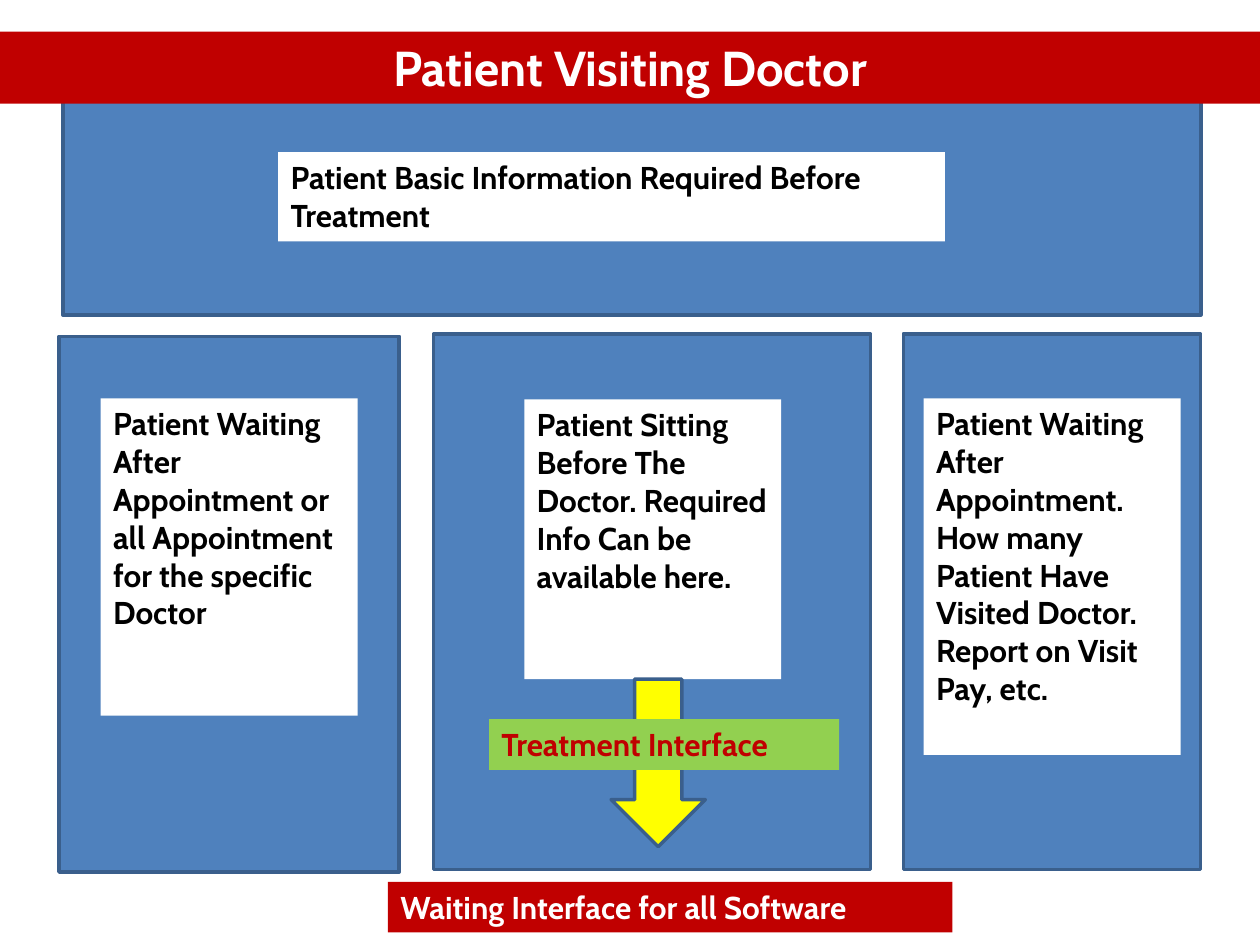
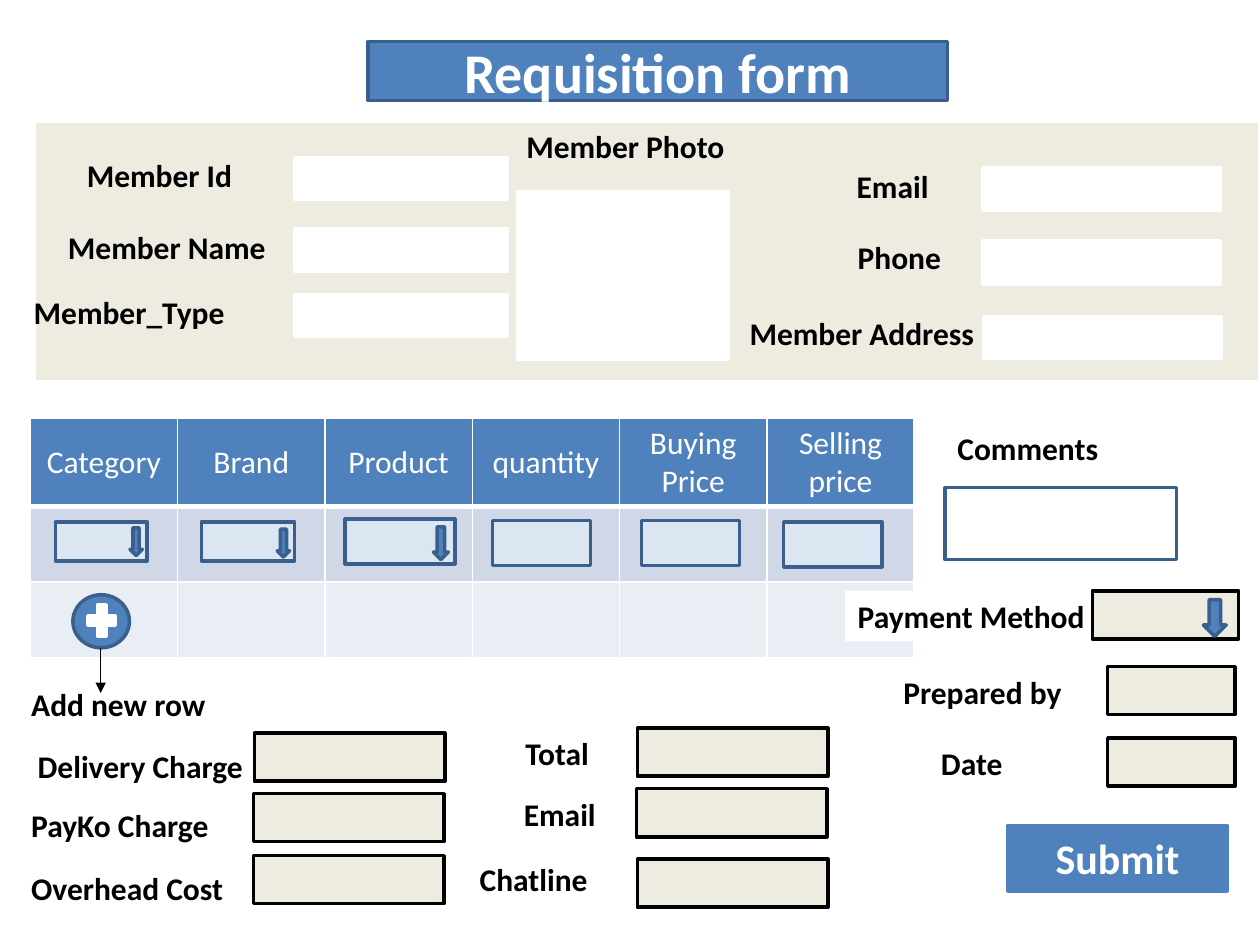
import pptx
import pptx.dml.color
import pptx.enum.shapes
import pptx.enum.text
import pptx.oxml.ns
import pptx.util
from lxml import etree

Cm, Pt = pptx.util.Cm, pptx.util.Pt
SHAPE = pptx.enum.shapes.MSO_SHAPE
ALIGN = pptx.enum.text.PP_ALIGN
ANCHOR = pptx.enum.text.MSO_ANCHOR
qn = pptx.oxml.ns.qn

COLORS = {
    "white": "FFFFFF", "black": "000000", "blue": "4F81BD", "outline": "3A5F8C",
    "red": "C00000", "yellow": "FFFF00", "green": "92D050", "beige": "EEECE1",
    "pale": "DCE6F2", "row_dark": "D0D8E8", "row_light": "E9EDF4",
}
LABEL_HEIGHT = 1.02

# Visit slide: boxes are (left, top, width, height) in centimetres
VISIT_PANELS = [
    (1.27, 1.7, 22.94, 4.65),
    (1.19, 6.78, 6.86, 10.8),
    (8.74, 6.73, 8.81, 10.8),
    (18.21, 6.73, 5.99, 10.8),
]
VISIT_NOTES = [
    ("Patient Basic Information Required Before Treatment", (5.61, 3.07, 13.44, 1.8)),
    ("Patient Waiting After Appointment or all Appointment for the specific Doctor",
     (2.03, 8.03, 5.18, 6.4)),
    ("Patient Sitting Before The Doctor. Required Info Can be available here.",
     (10.57, 8.05, 5.18, 5.64)),
    ("Patient Waiting After Appointment. How many Patient Have Visited Doctor. "
     "Report on Visit Pay, etc.", (18.62, 8.03, 5.18, 7.19)),
]
TREATMENT_ARROW = (12.32, 13.69, 1.9, 3.38)

# Requisition slide: label, label (left, top, width), field box
MEMBER_FIELDS = [
    ("Member Id", (1.5, 3.02, 4.4), (5.94, 3.18, 4.29, 0.84)),
    ("Member Name", (1.12, 4.47, 4.8), (5.94, 4.62, 4.29, 0.84)),
    ("Member_Type", (0.43, 5.79, 5.4), (5.94, 5.94, 4.29, 0.84)),
    ("Email", (17.02, 3.25, 2.8), (19.81, 3.38, 4.8, 0.86)),
    ("Phone", (17.04, 4.67, 2.8), (19.81, 4.85, 4.8, 0.89)),
    ("Member Address", (14.86, 6.2, 6.07), (19.84, 6.38, 4.78, 0.84)),
    ("Member Photo", (10.36, 2.44, 4.8), (10.44, 3.86, 4.24, 3.38)),
]
COMMENT_FIELDS = [("Comments", (19.05, 8.53, 3.5), (19.05, 9.83, 4.67, 1.45))]
ORDER_FIELDS = [
    ("Payment Method", (17.04, 11.91, 5.38), (22.02, 11.91, 2.95, 0.97)),
    ("Prepared by", (17.96, 13.44, 3.86), (22.33, 13.44, 2.57, 0.97)),
    ("Date", (18.72, 14.88, 3.1), (22.33, 14.88, 2.57, 0.97)),
]
COST_FIELDS = [
    ("Delivery Charge", (0.51, 14.94, 5.13), (5.13, 14.78, 3.84, 0.97)),
    ("PayKo Charge", (0.38, 16.13, 5.13), (5.11, 16, 3.84, 0.97)),
    ("Overhead Cost", (0.38, 17.4, 5.13), (5.11, 17.25, 3.84, 0.97)),
    ("Total", (10.34, 14.68, 2.77), (12.85, 14.68, 3.84, 0.97)),
    ("Email", (10.31, 15.9, 3.1), (12.83, 15.9, 3.84, 0.97)),
    ("Chatline", (9.42, 17.22, 3.84), (12.85, 17.32, 3.84, 0.97)),
]
ITEM_HEADERS = ["Category", "Brand", "Product", "quantity", "Buying Price", "Selling price"]
ITEM_LEFT, ITEM_TOP, ITEM_COLUMN = 0.61, 8.43, 2.97
ITEM_ROWS = [(1.78, "blue"), (1.52, "row_dark"), (1.52, "row_light")]
ITEM_INPUTS = [
    (1.12, 10.52, 1.85, 0.79), (4.06, 10.52, 1.88, 0.79), (6.96, 10.46, 2.21, 0.91),
    (9.93, 10.49, 1.98, 0.91), (12.93, 10.49, 1.98, 0.91), (15.8, 10.52, 1.98, 0.91),
]
DROPDOWN_ARROWS = [
    (2.62, 10.64, 0.25, 0.56), (5.59, 10.67, 0.25, 0.56),
    (8.74, 10.62, 0.3, 0.66), (24.26, 12.09, 0.46, 0.74),
]


def rgb(name):
    return pptx.dml.color.RGBColor.from_string(COLORS[name])


def paint(shape, fill):
    shape.fill.solid()
    shape.fill.fore_color.rgb = rgb(fill)


def write(frame, text, font, size, color, align, bold=True):
    frame.word_wrap = True
    para = frame.paragraphs[0]
    para.text = text
    para.alignment = align
    para.font.name, para.font.size, para.font.bold = font, Pt(size), bold
    para.font.color.rgb = rgb(color)


def add_box(page, box, fill, line, kind=SHAPE.RECTANGLE):
    shape = page.shapes.add_shape(kind, *map(Cm, box))
    shape.shadow.inherit = False
    paint(shape, fill)
    shape.line.color.rgb = rgb(line)
    shape.line.width = Pt(2)
    return shape


def add_label(page, text, box, font, fill=None, color="black", size=18, align=ALIGN.LEFT):
    label = page.shapes.add_textbox(*map(Cm, box))
    if fill:
        paint(label, fill)
    write(label.text_frame, text, font, size, color, align)


def add_button(page, text, box, line, size):
    button = add_box(page, box, "blue", line)
    button.text_frame.vertical_anchor = ANCHOR.MIDDLE
    write(button.text_frame, text, "Calibri", size, "white", ALIGN.CENTER)


def add_fields(page, fields, fill, line, label_fill=None):
    for text, place, box in fields:
        add_label(page, text, (*place, LABEL_HEIGHT), "Calibri", label_fill)
        add_box(page, box, fill, line)


def set_borders(cell, is_header):
    properties = cell._tc.get_or_add_tcPr()
    for index, side in enumerate(("lnL", "lnR", "lnT", "lnB")):
        width = 3 if is_header and side == "lnB" else 1
        border = etree.Element(qn(f"a:{side}"), w=str(Pt(width)))
        fill = etree.SubElement(border, qn("a:solidFill"))
        etree.SubElement(fill, qn("a:srgbClr"), val=COLORS["white"])
        properties.insert(index, border)


def add_item_table(page):
    columns = len(ITEM_HEADERS)
    height = sum(row_height for row_height, _ in ITEM_ROWS)
    table = page.shapes.add_table(
        len(ITEM_ROWS), columns, Cm(ITEM_LEFT), Cm(ITEM_TOP),
        Cm(ITEM_COLUMN * columns), Cm(height)).table
    for column in table.columns:
        column.width = Cm(ITEM_COLUMN)
    for row, (row_height, fill) in enumerate(ITEM_ROWS):
        table.rows[row].height = Cm(row_height)
        for column, header in enumerate(ITEM_HEADERS):
            cell = table.cell(row, column)
            paint(cell, fill)
            set_borders(cell, row == 0)
            if row == 0:
                cell.vertical_anchor = ANCHOR.MIDDLE
                write(cell.text_frame, header, "Calibri", 18, "white", ALIGN.CENTER, False)


def add_arrow(page, start, end):
    arrow = page.shapes.add_connector(
        pptx.enum.shapes.MSO_CONNECTOR.STRAIGHT, *map(Cm, start + end))
    arrow.line.color.rgb = rgb("black")
    arrow.line.width = Pt(0.75)
    etree.SubElement(arrow.line._get_or_add_ln(), qn("a:tailEnd"), type="triangle")
    etree.SubElement(arrow._element.spPr, qn("a:effectLst"))


def build_visit(page):
    for box in VISIT_PANELS:
        add_box(page, box, "blue", "outline")
    for text, box in VISIT_NOTES:
        add_label(page, text, box, "Cabin", "white")
    add_label(page, "Waiting Interface for all Software",
              (7.82, 17.78, 11.38, LABEL_HEIGHT), "Cabin", "red", "white")
    # Treatment step
    add_box(page, TREATMENT_ARROW, "yellow", "outline", SHAPE.DOWN_ARROW)
    add_label(page, "Treatment Interface",
              (9.86, 14.5, 7.06, LABEL_HEIGHT), "Cabin", "green", "red")
    # Title band
    add_label(page, "Patient Visiting Doctor", (0, 0.64, 25.4, 1.45), "Cabin",
              "red", "white", 28, ALIGN.CENTER)


def build_requisition(page):
    add_button(page, "Requisition form", (7.42, 0.84, 11.68, 1.19), "outline", 32)
    # Member details
    add_box(page, (0.69, 2.44, 24.71, 5.26), "beige", "white")
    add_fields(page, MEMBER_FIELDS, "white", "white")
    # Item table with its inputs
    add_item_table(page)
    for box in ITEM_INPUTS:
        add_box(page, box, "pale", "outline")
    # Button that adds a row
    add_box(page, (1.47, 11.99, 1.14, 1.07), "blue", "outline", SHAPE.OVAL)
    add_box(page, (1.68, 12.09, 0.74, 0.84), "white", "white", SHAPE.MATH_PLUS)
    add_label(page, "Add new row", (0.38, 13.69, 4.2, LABEL_HEIGHT), "Calibri")
    add_arrow(page, (2.03, 13.06), (2.03, 13.97))
    # Order, cost and contact fields
    add_fields(page, COMMENT_FIELDS, "white", "outline")
    add_fields(page, ORDER_FIELDS, "beige", "black", "white")
    add_fields(page, COST_FIELDS, "beige", "black")
    for box in DROPDOWN_ARROWS:
        add_box(page, box, "blue", "outline", SHAPE.DOWN_ARROW)
    add_button(page, "Submit", (20.32, 16.64, 4.42, 1.32), "blue", 24)


def main():
    deck = pptx.Presentation()
    deck.slide_width, deck.slide_height = Cm(25.4), Cm(19.05)
    for build in (build_visit, build_requisition):
        build(deck.slides.add_slide(deck.slide_layouts[6]))
    deck.save("out.pptx")


if __name__ == "__main__":
    main()
